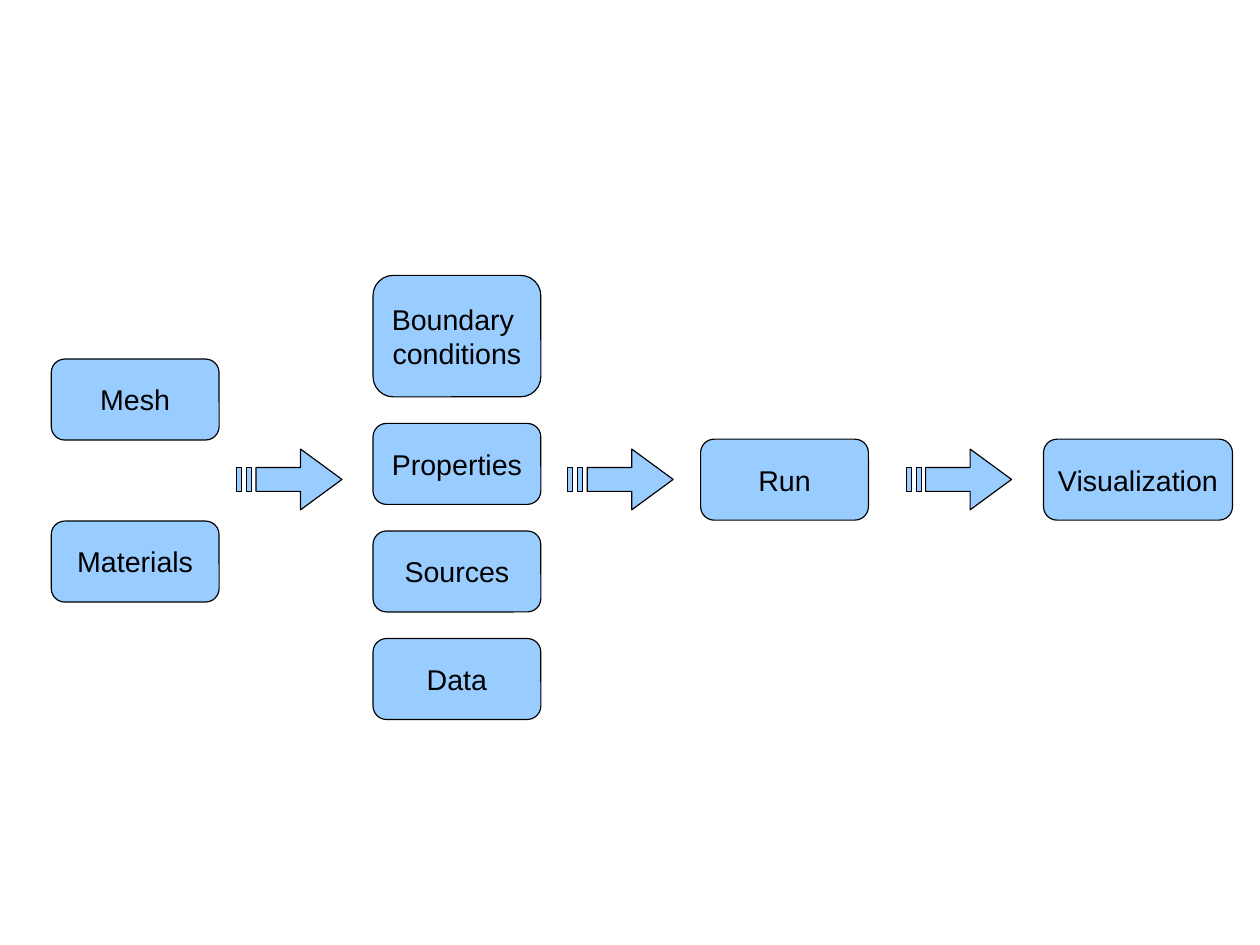
from dataclasses import dataclass

from pptx import Presentation
from pptx.dml.color import RGBColor
from pptx.enum.shapes import MSO_SHAPE
from pptx.enum.text import MSO_ANCHOR, PP_ALIGN
from pptx.util import Cm, Pt


@dataclass(frozen=True)
class Theme:
    fill: RGBColor = RGBColor(0x99, 0xCC, 0xFF)
    ink: RGBColor = RGBColor(0, 0, 0)
    font: str = "Arial"
    size: int = Pt(18)
    outline: int = Pt(0)


THEME = Theme()

STAGES = [
    {"left": 1.14, "top": 7.98, "width": 3.73, "gap": 1.8,
     "steps": ["Mesh", "Materials"]},
    {"left": 8.29, "top": 6.12, "width": 3.73, "gap": 0.59,
     "steps": ["Boundary \nconditions", "Properties", "Sources", "Data"]},
    {"left": 15.57, "top": 9.76, "width": 3.73, "gap": 0, "steps": ["Run"]},
    {"left": 23.19, "top": 9.76, "width": 4.2, "gap": 0, "steps": ["Visualization"]},
]
STEP_HEIGHTS = {1: 1.8, 2: 2.7}

ARROW_LEFTS = [5.26, 12.62, 20.14]
ARROW_TOP = 9.98
ARROW_WIDTH, ARROW_HEIGHT = 2.34, 1.35
HEAD_LEFT, SHAFT_LEFT = 1.42, 0.43
SHAFT_TOP, SHAFT_BOTTOM = 0.41, 0.94
STRIPE_LEFTS, STRIPE_WIDTH = [0, 0.22], 0.11


def paint(shape):
    shape.shadow.inherit = False
    shape.fill.solid()
    shape.fill.fore_color.rgb = THEME.fill
    shape.line.color.rgb = THEME.ink
    shape.line.width = THEME.outline


def add_step(slide, label, left, top, width, height):
    step = slide.shapes.add_shape(
        MSO_SHAPE.ROUNDED_RECTANGLE, Cm(left), Cm(top), Cm(width), Cm(height))
    paint(step)
    frame = step.text_frame
    frame.word_wrap = False
    frame.vertical_anchor = MSO_ANCHOR.MIDDLE
    frame.text = label
    for paragraph in frame.paragraphs:
        paragraph.alignment = PP_ALIGN.CENTER
        paragraph.font.name = THEME.font
        paragraph.font.size = THEME.size
        paragraph.font.color.rgb = THEME.ink


def add_stage(slide, left, top, width, gap, steps):
    for label in steps:
        height = STEP_HEIGHTS[len(label.split("\n"))]
        add_step(slide, label, left, top, width, height)
        top += height + gap


def arrow_outlines():
    yield [(HEAD_LEFT, 0), (ARROW_WIDTH, ARROW_HEIGHT / 2), (HEAD_LEFT, ARROW_HEIGHT),
           (HEAD_LEFT, SHAFT_BOTTOM), (SHAFT_LEFT, SHAFT_BOTTOM),
           (SHAFT_LEFT, SHAFT_TOP), (HEAD_LEFT, SHAFT_TOP)]
    for left in STRIPE_LEFTS:
        right = left + STRIPE_WIDTH
        yield [(left, SHAFT_TOP), (left, SHAFT_BOTTOM),
               (right, SHAFT_BOTTOM), (right, SHAFT_TOP)]


def add_arrow(slide, left):
    head, *stripes = [
        [(Cm(left + x), Cm(ARROW_TOP + y)) for x, y in outline]
        for outline in arrow_outlines()]
    builder = slide.shapes.build_freeform(*head[0])
    builder.add_line_segments(head[1:], close=True)
    for stripe in stripes:
        builder.move_to(*stripe[0])
        builder.add_line_segments(stripe[1:], close=True)
    paint(builder.convert_to_shape())


def main():
    deck = Presentation()
    deck.slide_width, deck.slide_height = Cm(28), Cm(21)
    slide = deck.slides.add_slide(deck.slide_layouts[6])
    for stage in STAGES:
        add_stage(slide, **stage)
    for left in ARROW_LEFTS:
        add_arrow(slide, left)
    deck.save("out.pptx")


if __name__ == "__main__":
    main()
